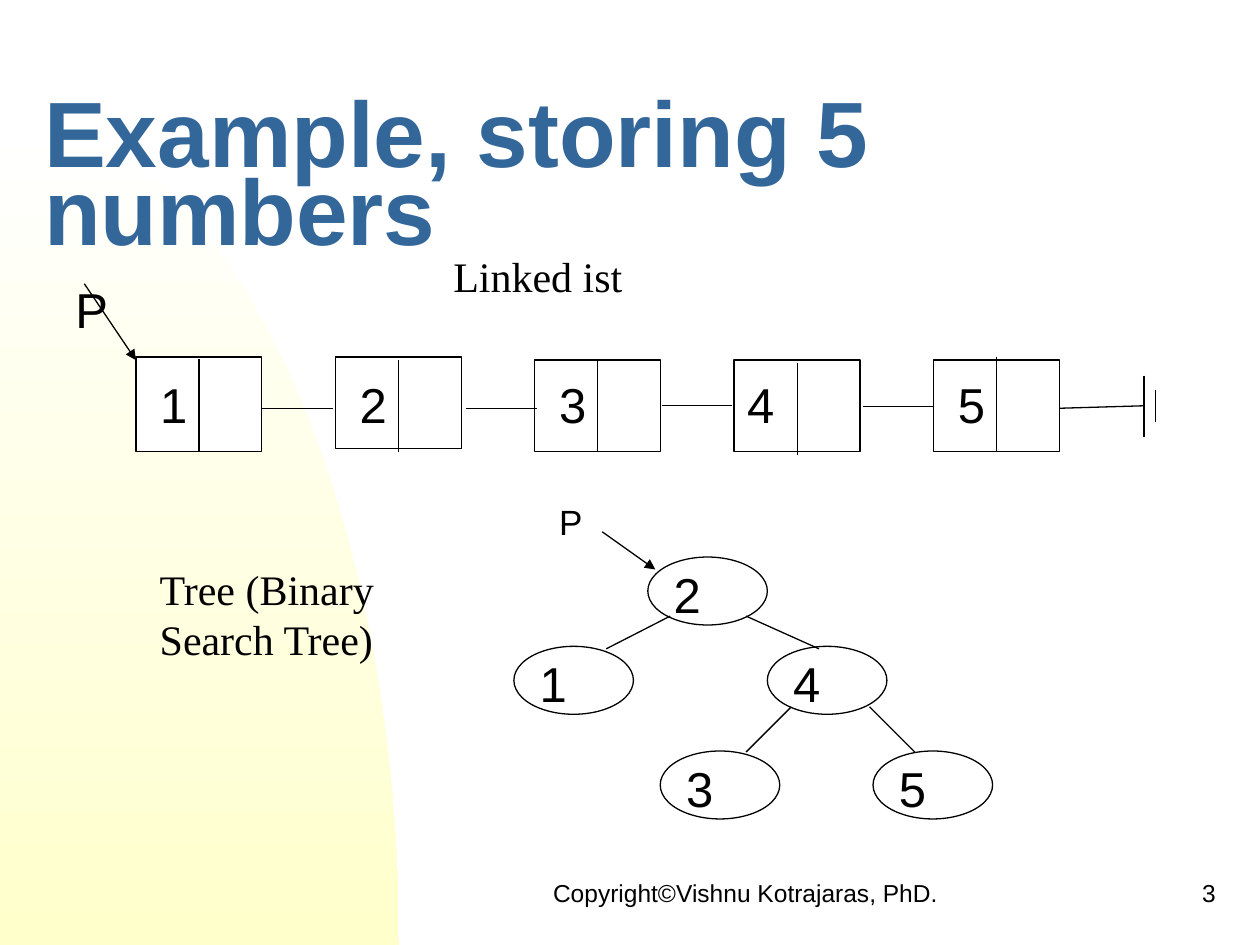
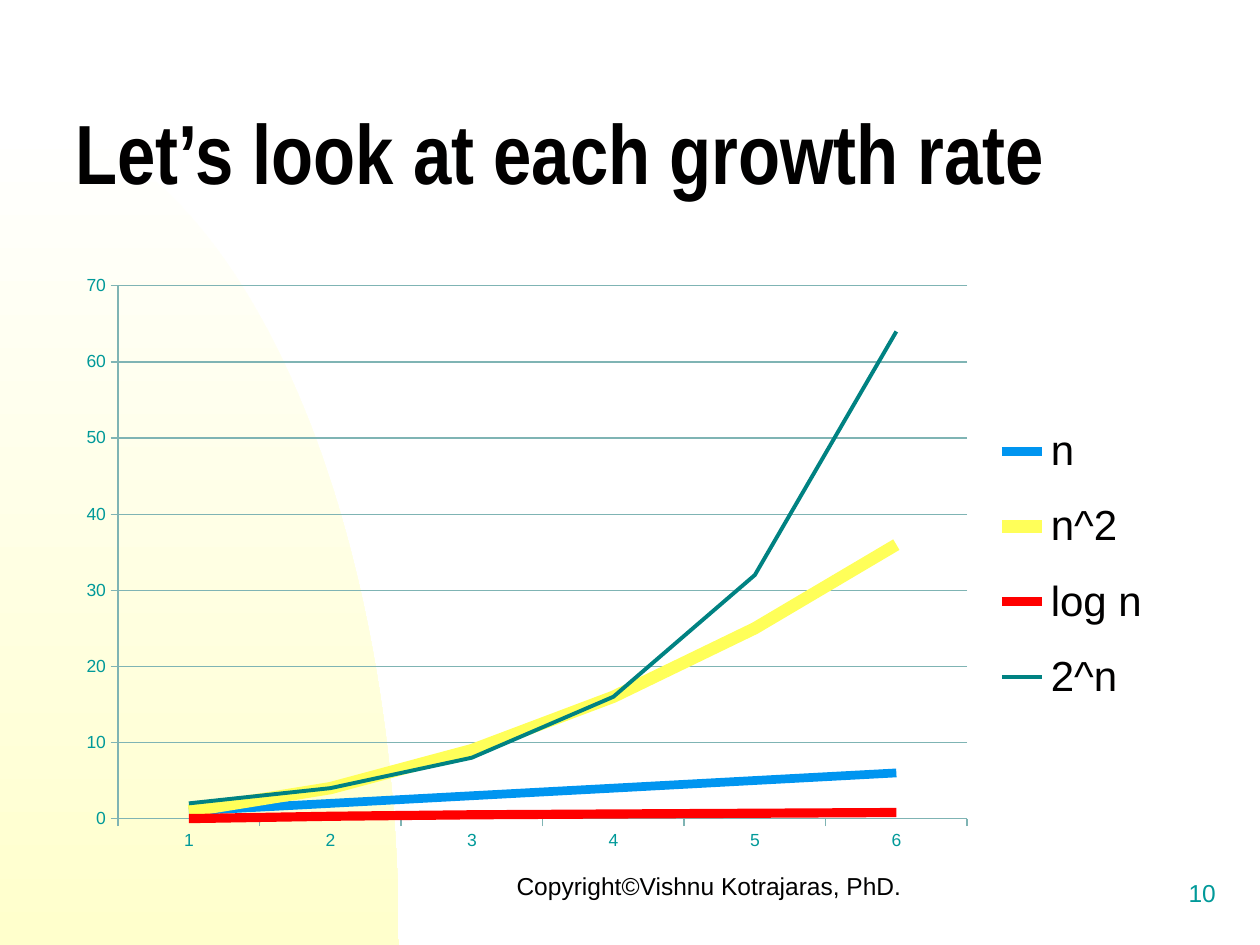
"""Builds two slides: storing five numbers, and a chart of growth rates."""
import math
from typing import NamedTuple, Optional

from lxml import etree
from pptx import Presentation
from pptx import util as u
from pptx.chart.data import CategoryChartData
from pptx.dml.color import RGBColor
from pptx.enum import chart as charts
from pptx.enum import shapes, text
from pptx.oxml import ns

WHITE = RGBColor(0xFF, 0xFF, 0xFF)
CREAM = RGBColor(0xFF, 0xFF, 0xCC)
BLACK = RGBColor(0x00, 0x00, 0x00)
INK = RGBColor(0x01, 0x00, 0x00)
STEEL = RGBColor(0x33, 0x66, 0x99)
TEAL = RGBColor(0x00, 0x99, 0x99)
GRID = RGBColor(0x7F, 0xB4, 0xB4)
SKY = RGBColor(0x00, 0x95, 0xF0)
YELLOW = RGBColor(0xFF, 0xFF, 0x59)
RED = RGBColor(0xFF, 0x00, 0x00)
DEEP_TEAL = RGBColor(0x00, 0x82, 0x82)

SLIDE_WIDTH, SLIDE_HEIGHT = 25.4, 19.05
SWOOSH_WIDTH, SWOOSH_HEIGHT = 8.04, 16.72
SWOOSH_STEPS = 60
CELL_LEFT, CELL_PITCH, CELL_WIDTH = 2.74, 4.02, 2.54
OVAL_WIDTH, OVAL_HEIGHT = 2.41, 1.37
COPYRIGHT = "Copyright©Vishnu Kotrajaras, PhD."


class Box(NamedTuple):
    """A rectangle in centimetres."""
    left: float
    top: float
    width: float
    height: float

    def lengths(self) -> list:
        """Return the four lengths as Cm."""
        return [u.Cm(side) for side in self]


class Stroke(NamedTuple):
    """A straight line in centimetres."""
    x1: float
    y1: float
    x2: float
    y2: float
    arrow: bool = False


class Cell(NamedTuple):
    """A linked-list cell, its divider and the indent of its digit."""
    digit: str
    top: float
    height: float
    split_top: float
    split_bottom: float
    indent: float = 0.24


class TreeNode(NamedTuple):
    """An oval of the tree."""
    digit: str
    left: float
    top: float


class Curve(NamedTuple):
    """A series of the growth chart."""
    name: str
    values: tuple
    color: RGBColor
    weight: float


CELLS = (
    Cell("1", 7.2, 1.9, 7.24, 9.12),
    Cell("2", 7.2, 1.85, 7.26, 9.12),
    Cell("3", 7.26, 1.85, 7.26, 9.12),
    Cell("4", 7.26, 1.85, 7.32, 9.17, 0.01),
    Cell("5", 7.26, 1.85, 7.19, 9.09),
)
LIST_STROKES = (
    Stroke(5.28, 8.23, 6.71, 8.23),
    Stroke(9.4, 8.23, 10.82, 8.23),
    Stroke(13.34, 8.18, 14.76, 8.18),
    Stroke(17.4, 8.2, 18.82, 8.2),
    Stroke(21.36, 8.23, 23.06, 8.18),
    Stroke(23.06, 7.57, 23.06, 8.81),
    Stroke(23.29, 7.87, 23.29, 8.51),
    Stroke(1.7, 5.72, 2.74, 7.26, arrow=True),
)
TREE_NODES = (
    TreeNode("2", 13.06, 11.23),
    TreeNode("1", 10.36, 13.03),
    TreeNode("4", 15.47, 13.03),
    TreeNode("3", 13.31, 15.14),
    TreeNode("5", 17.6, 15.14),
)
TREE_STROKES = (
    Stroke(13.51, 12.42, 12.22, 13.08),
    Stroke(15.04, 12.42, 16.51, 13.08),
    Stroke(15.95, 14.25, 15.04, 15.16),
    Stroke(17.53, 14.25, 18.44, 15.16),
    Stroke(12.14, 10.72, 13.21, 11.48, arrow=True),
)
CURVES = (
    Curve("n", (1, 2, 3, 4, 5, 6), SKY, 5),
    Curve("n^2", (1, 4, 9, 16, 25, 36), YELLOW, 7),
    Curve("log n", (0, 0.3, 0.5, 0.6, 0.7, 0.8), RED, 5.25),
    Curve("2^n", (2, 4, 8, 16, 32, 64), DEEP_TEAL, 2.25),
)


def write(slide, words: str, box: Box, *, size: float = 28, font: str = "Arial",
          color: RGBColor = INK, bold: bool = False, align=text.PP_ALIGN.LEFT,
          anchor=text.MSO_ANCHOR.TOP, spacing: Optional[float] = None) -> None:
    """Put one formatted paragraph on the slide."""
    frame = slide.shapes.add_textbox(*box.lengths()).text_frame
    frame.word_wrap = True
    frame.vertical_anchor = anchor
    paragraph = frame.paragraphs[0]
    paragraph.alignment = align
    paragraph.line_spacing = spacing
    run = paragraph.add_run()
    run.text = words
    run.font.size = u.Pt(size)
    run.font.name = font
    run.font.bold = bold
    run.font.color.rgb = color


def draw_stroke(slide, stroke: Stroke) -> None:
    """Draw a thin black line, with an arrowhead at its end if asked."""
    ends = [u.Cm(value) for value in stroke[:4]]
    connector = slide.shapes.add_connector(shapes.MSO_CONNECTOR.STRAIGHT, *ends)
    connector.line.color.rgb = BLACK
    connector.line.width = u.Pt(0.75)
    properties = connector.element.spPr
    if stroke.arrow:
        outline = properties.find(ns.qn("a:ln"))
        etree.SubElement(outline, ns.qn("a:tailEnd"), type="triangle")
    etree.SubElement(properties, ns.qn("a:effectLst"))


def draw_outline(slide, preset, box: Box) -> None:
    """Draw a white preset shape with a thin black border."""
    outline = slide.shapes.add_shape(preset, *box.lengths())
    outline.shadow.inherit = False
    outline.fill.solid()
    outline.fill.fore_color.rgb = WHITE
    outline.line.color.rgb = BLACK
    outline.line.width = u.Pt(0.75)


def draw_swoosh(slide) -> None:
    """Draw the quarter ellipse that fades from white to cream."""
    angles = [math.pi / 2 * step / SWOOSH_STEPS for step in range(SWOOSH_STEPS + 1)]
    rim = [(u.Cm(SWOOSH_WIDTH * math.sin(angle)),
            u.Cm(SLIDE_HEIGHT - SWOOSH_HEIGHT * math.cos(angle))) for angle in angles]
    builder = slide.shapes.build_freeform(u.Cm(0), u.Cm(SLIDE_HEIGHT))
    builder.add_line_segments(rim, close=True)
    swoosh = builder.convert_to_shape()
    swoosh.shadow.inherit = False
    swoosh.line.fill.background()
    swoosh.fill.gradient()
    swoosh.fill.gradient_angle = 270
    for stop, color, position in zip(swoosh.fill.gradient_stops, (WHITE, CREAM), (0, 1)):
        stop.color.rgb = color
        stop.position = position


def add_page(deck, title: str, title_box: Box, footer_box: Box, number: str, *,
             number_color: RGBColor = INK, **title_format):
    """Add a slide with the shared background, title and footer."""
    slide = deck.slides.add_slide(deck.slide_layouts[6])
    draw_swoosh(slide)
    middle = text.MSO_ANCHOR.MIDDLE
    write(slide, title, title_box, bold=True, anchor=middle, spacing=0.7, **title_format)
    write(slide, COPYRIGHT, footer_box, size=14, align=text.PP_ALIGN.CENTER, anchor=middle)
    write(slide, number, Box(19.47, 17.36, 5.29, 1.27), size=14, color=number_color,
          align=text.PP_ALIGN.RIGHT, anchor=middle)
    return slide


def draw_linked_list(slide) -> None:
    """Draw the five linked cells with their pointer and end mark."""
    for index, cell in enumerate(CELLS):
        left = CELL_LEFT + CELL_PITCH * index
        split = left + CELL_WIDTH / 2
        draw_outline(slide, shapes.MSO_SHAPE.RECTANGLE,
                     Box(left, cell.top, CELL_WIDTH, cell.height))
        write(slide, cell.digit, Box(left + cell.indent, 7.42, 1.27, 1.47))
        draw_stroke(slide, Stroke(split, cell.split_top, split, cell.split_bottom))
    for stroke in LIST_STROKES:
        draw_stroke(slide, stroke)
    write(slide, "P", Box(1.27, 5.51, 1.5, 1.47))
    write(slide, "Linked ist", Box(8.89, 4.93, 6.55, 1.27), size=24, font="Times New Roman")


def draw_tree(slide) -> None:
    """Draw the binary search tree with its pointer and label."""
    for node in TREE_NODES:
        draw_outline(slide, shapes.MSO_SHAPE.OVAL,
                     Box(node.left, node.top, OVAL_WIDTH, OVAL_HEIGHT))
        write(slide, node.digit, Box(node.left + 0.27, node.top + 0.02, OVAL_WIDTH, 1.22))
    for stroke in TREE_STROKES:
        draw_stroke(slide, stroke)
    write(slide, "P", Box(11.02, 9.96, 2.03, 1.52), size=20)
    write(slide, "Tree (Binary Search Tree)", Box(2.97, 11.23, 6.15, 2.31),
          size=24, font="Times New Roman")


def place_part(part, index: int, mode: Optional[str], area: Box) -> None:
    """Fix a chart part at fractions of the chart's size."""
    for old in part.findall(ns.qn("c:layout")):
        part.remove(old)
    layout = etree.Element(ns.qn("c:layout"))
    manual = etree.SubElement(layout, ns.qn("c:manualLayout"))
    settings = [("layoutTarget", mode)] if mode else []
    settings += [("xMode", "edge"), ("yMode", "edge")]
    settings += zip("xywh", map(str, area))
    for tag, value in settings:
        etree.SubElement(manual, ns.qn(f"c:{tag}"), val=value)
    part.insert(index, layout)


def draw_growth_chart(slide) -> None:
    """Draw the line chart of the four growth rates."""
    data = CategoryChartData()
    data.categories = [str(n) for n in range(1, 7)]
    for curve in CURVES:
        data.add_series(curve.name, curve.values)
    frame = slide.shapes.add_chart(charts.XL_CHART_TYPE.LINE,
                                   *Box(1.27, 5.28, 22.23, 12.07).lengths(), data)
    growth = frame.chart
    growth.has_title = False
    growth.font.name = "Arial"
    growth.font.size = u.Pt(10)
    growth.font.color.rgb = TEAL
    growth.plots[0].vary_by_categories = False
    for series, curve in zip(growth.plots[0].series, CURVES):
        series.smooth = False
        series.format.line.color.rgb = curve.color
        series.format.line.width = u.Pt(curve.weight)
    growth.value_axis.maximum_scale = 70
    growth.value_axis.minimum_scale = 0
    growth.value_axis.major_unit = 10
    growth.value_axis.has_major_gridlines = True
    for ruled in (growth.category_axis, growth.value_axis, growth.value_axis.major_gridlines):
        ruled.format.line.color.rgb = GRID
        ruled.format.line.width = u.Pt(0.75)
    for axis in (growth.category_axis, growth.value_axis):
        axis.major_tick_mark = charts.XL_TICK_MARK.OUTSIDE
    growth.has_legend = True
    growth.legend.position = charts.XL_LEGEND_POSITION.RIGHT
    growth.legend.include_in_layout = False
    growth.legend.font.name = "Arial"
    growth.legend.font.size = u.Pt(24)
    growth.legend.font.color.rgb = INK
    plot_area = growth.element.find(".//" + ns.qn("c:plotArea"))
    legend = growth.element.find(".//" + ns.qn("c:legend"))
    place_part(plot_area, 0, "inner", Box(0.05, 0.04, 0.77, 0.89))
    place_part(legend, 1, None, Box(0.84, 0.23, 0.15, 0.55))


def main() -> None:
    """Build and save both slides."""
    deck = Presentation()
    deck.slide_width, deck.slide_height = u.Cm(SLIDE_WIDTH), u.Cm(SLIDE_HEIGHT)
    storing = add_page(deck, "Example, storing 5 numbers", Box(0.64, 1.9, 24.34, 3.6),
                       Box(9.95, 17.36, 10.16, 1.27), "3", size=53, color=STEEL)
    draw_linked_list(storing)
    draw_tree(storing)
    growth = add_page(deck, "Let’s look at each growth rate", Box(1.27, 1.7, 23.5, 3.18),
                      Box(9.53, 17.22, 9.53, 1.27), "10", number_color=TEAL,
                      size=48, font="Arial Narrow")
    draw_growth_chart(growth)
    deck.save("out.pptx")


if __name__ == "__main__":
    main()
